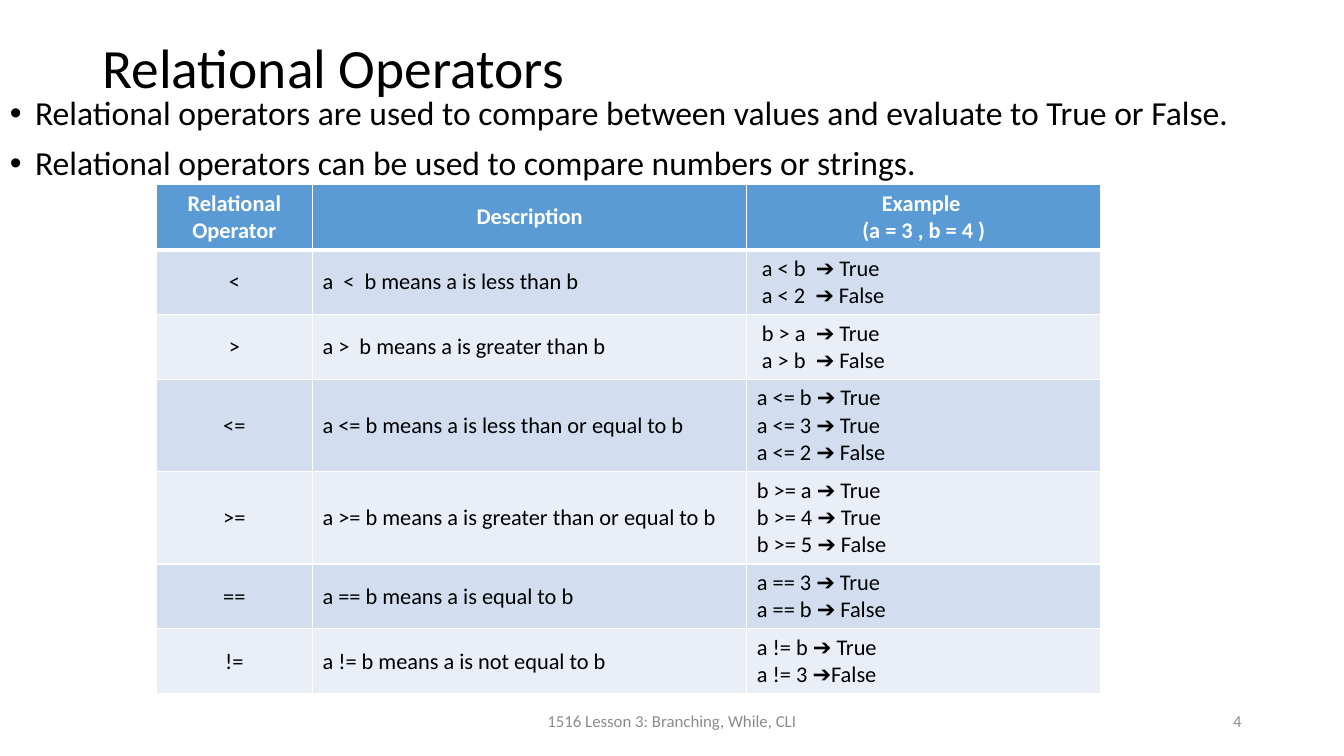
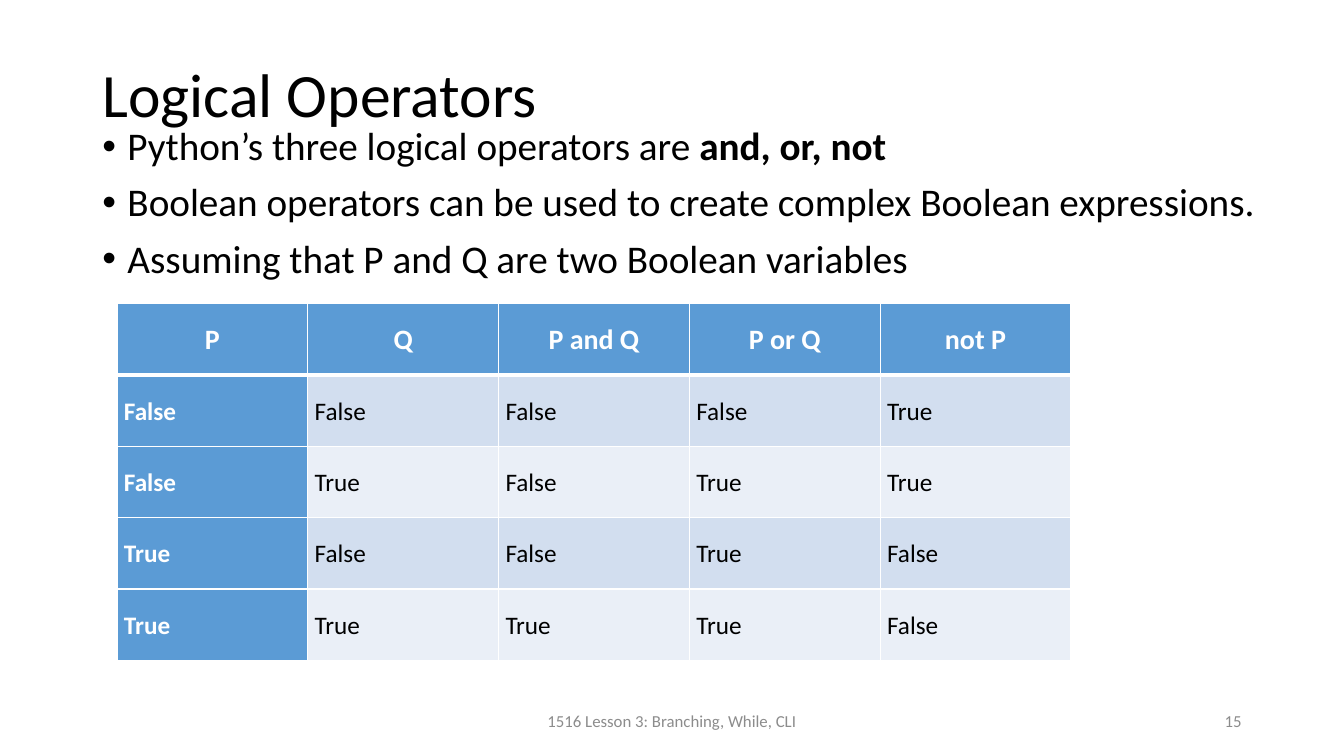
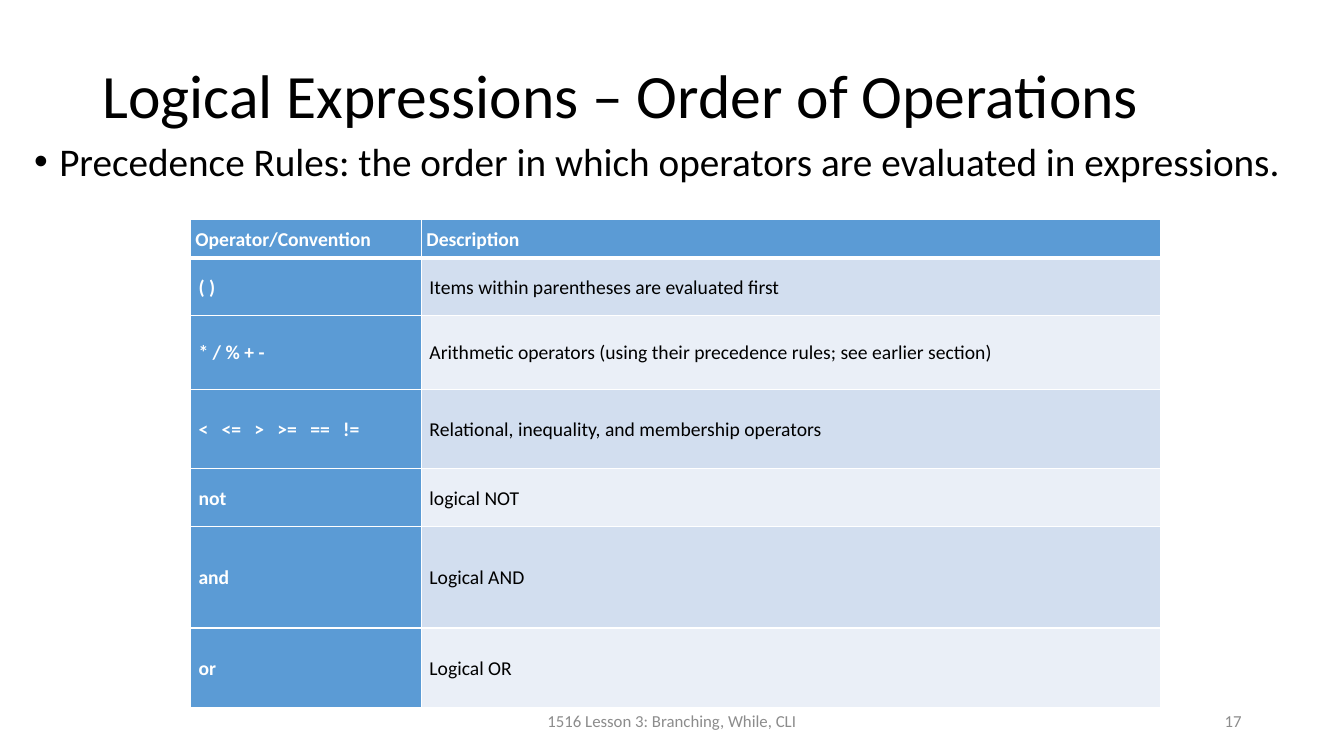
from itertools import product

from pptx import Presentation
from pptx.dml.color import RGBColor
from pptx.enum.text import MSO_ANCHOR, MSO_AUTO_SIZE, PP_ALIGN
from pptx.oxml.ns import qn
from pptx.util import Pt
from lxml.etree import SubElement

COLORS = {
    "text": "000000",
    "footer": "8C8C8C",
    "header": "5B9BD5",
    "light": "FFFFFF",
    "odd_row": "D2DEEF",
    "even_row": "EAEFF7",
}
FONT = "Calibri"
FOOTER = "1516 Lesson 3: Branching, While, CLI"
TITLE_ONLY = 5


def write(paragraph, text, size=18, color="text", bold=False, align=PP_ALIGN.LEFT,
          line_spacing=None, before=0, after=0):
    """Add a formatted run to a paragraph."""
    paragraph.alignment = align
    paragraph.line_spacing = line_spacing
    paragraph.space_before, paragraph.space_after = Pt(before), Pt(after)
    run = paragraph.add_run()
    run.text = text
    run.font.name, run.font.size, run.font.bold = FONT, Pt(size), bold
    run.font.color.rgb = RGBColor.from_string(COLORS[color])


def paragraphs_for(frame, count):
    """Return the first paragraph of a frame followed by new ones."""
    return [frame.paragraphs[0]] + [frame.add_paragraph() for _ in range(count - 1)]


def set_borders(cell, **widths):
    """Draw the cell's edges; line elements go before the fill."""
    properties = cell._tc.get_or_add_tcPr()
    for index, side in enumerate("LRTB"):
        line = SubElement(properties, qn(f"a:ln{side}"), w=str(Pt(widths.get(side, 1))))
        fill = SubElement(line, qn("a:solidFill"))
        SubElement(fill, qn("a:srgbClr"), val=COLORS["light"])
        properties.insert(index, line)


class Deck:
    def __init__(self):
        self.presentation = Presentation()
        self.presentation.slide_width = Pt(960)
        self.presentation.slide_height = Pt(540)
        self.slide = None

    def new_slide(self, title, number, title_height, title_size=44):
        layout = self.presentation.slide_layouts[TITLE_ONLY]
        self.slide = self.presentation.slides.add_slide(layout)
        shape = self.slide.shapes.title
        shape.left, shape.top = Pt(66), Pt(28.8)
        shape.width, shape.height = Pt(828), Pt(title_height)
        frame = self.prepare(shape, MSO_ANCHOR.MIDDLE)
        write(frame.paragraphs[0], title, size=title_size, line_spacing=0.9)
        # Footer and page number
        self.footer_text(FOOTER, 318, 324, PP_ALIGN.CENTER)
        self.footer_text(str(number), 678, 216, PP_ALIGN.RIGHT)

    def prepare(self, shape, anchor):
        frame = shape.text_frame
        frame.word_wrap = True
        frame.auto_size = MSO_AUTO_SIZE.NONE
        frame.vertical_anchor = anchor
        return frame

    def text_box(self, left, top, width, height, anchor=MSO_ANCHOR.TOP):
        shape = self.slide.shapes.add_textbox(Pt(left), Pt(top), Pt(width), Pt(height))
        return self.prepare(shape, anchor)

    def footer_text(self, text, left, width, align):
        frame = self.text_box(left, 500.5, width, 28.75, MSO_ANCHOR.MIDDLE)
        write(frame.paragraphs[0], text, size=12, color="footer", align=align)

    def bullets(self, left, top, width, height, items, size=28):
        """Each item is a list of texts; every second text is bold."""
        frame = self.text_box(left, top, width, height)
        for paragraph, texts in zip(paragraphs_for(frame, len(items)), items):
            for index, text in enumerate(texts):
                write(paragraph, text, size=size, bold=index % 2 == 1,
                      line_spacing=0.9, before=10)
            properties = paragraph._p.get_or_add_pPr()
            properties.set("marL", str(Pt(18)))
            properties.set("indent", str(-Pt(18)))
            SubElement(properties, qn("a:buFont"), typeface="Arial")
            SubElement(properties, qn("a:buChar"), char="•")

    def table(self, left, top, widths, heights, rows, size, header_size=None,
              header_align=PP_ALIGN.CENTER, first_align=PP_ALIGN.LEFT,
              first_column=True, insets=(7.2, 3.6), header_insets=None, **spacing):
        frame = self.slide.shapes.add_table(
            len(rows), len(widths), Pt(left), Pt(top), Pt(sum(widths)), Pt(sum(heights)))
        table = frame.table
        for column, width in zip(table.columns, widths):
            column.width = Pt(width)
        for row_index, (row, height) in enumerate(zip(rows, heights)):
            table.rows[row_index].height = Pt(height)
            header = row_index == 0
            band = "odd_row" if row_index % 2 else "even_row"
            for column_index, text in enumerate(row):
                cell = table.cell(row_index, column_index)
                accent = header or (first_column and column_index == 0)
                if header:
                    align = header_align
                else:
                    align = first_align if column_index == 0 else PP_ALIGN.LEFT
                # Cell box
                side, edge = header_insets if header and header_insets else insets
                cell.margin_left = cell.margin_right = Pt(side)
                cell.margin_top = cell.margin_bottom = Pt(edge)
                cell.vertical_anchor = MSO_ANCHOR.MIDDLE
                cell.fill.solid()
                cell.fill.fore_color.rgb = RGBColor.from_string(
                    COLORS["header" if accent else band])
                set_borders(cell, T=3 if row_index == 1 else 1, B=3 if header else 1)
                # Cell text
                lines = text.split("\n")
                for paragraph, line in zip(paragraphs_for(cell.text_frame, len(lines)), lines):
                    write(paragraph, line, size=header_size if header and header_size else size,
                          color="light" if accent else "text", bold=accent,
                          align=align, **spacing)


def relational_operators(deck):
    deck.new_slide("Relational Operators", 4, title_height=43.2, title_size=39.6)
    deck.bullets(0, 65.5, 926, 460.8, [
        ["Relational operators are used to compare between values and evaluate to True or False."],
        ["Relational operators can be used to compare numbers or strings."],
    ], size=24)
    rows = [
        ("Relational Operator", "Description", "Example \n(a = 3 , b = 4 )"),
        ("<", "a  <  b means a is less than b", " a < b  ➔ True\n a < 2  ➔ False"),
        (">", "a >  b means a is greater than b", " b > a  ➔ True\n a > b  ➔ False"),
        ("<=", "a <= b means a is less than or equal to b",
         "a <= b ➔ True\na <= 3 ➔ True\na <= 2 ➔ False"),
        (">=", "a >= b means a is greater than or equal to b",
         "b >= a ➔ True\nb >= 4 ➔ True\nb >= 5 ➔ False"),
        ("==", "a == b means a is equal to b", "a == 3 ➔ True\na == b ➔ False"),
        ("!=", "a != b means a is not equal to b", "a != b ➔ True\na != 3 ➔False"),
    ]
    heights = [7.2 + 19.5 * len(row[-1].split("\n")) for row in rows]
    deck.table(111.6, 132, [111.6, 310.3, 252.7], heights, rows, size=16,
               first_align=PP_ALIGN.CENTER, first_column=False)


def logical_operators(deck):
    deck.new_slide("Logical Operators", 15, title_height=81.4)
    deck.bullets(66, 87, 861, 443, [
        ["Python’s three logical operators are ", "and, or, not"],
        ["Boolean operators can be used to create complex Boolean expressions."],
        ["Assuming that P and Q are two Boolean variables"],
    ])
    rows = [("P", "Q", "P and Q", "P or Q", "not P")]
    for p, q in product((False, True), repeat=2):
        rows.append([str(value) for value in (p, q, p and q, p or q, not p)])
    deck.table(83.5, 216.7, [136.3] * 5, [51] * 5, rows, size=18, header_size=20,
               insets=(5, 0), line_spacing=1.07)


def order_of_operations(deck):
    deck.new_slide("Logical Expressions – Order of Operations", 17, title_height=82.8)
    deck.bullets(17.3, 98, 920, 408, [
        ["Precedence Rules: the order in which operators are evaluated in expressions."],
    ])
    rows = [
        ("Operator/Convention", "Description"),
        ("( )", "Items within parentheses are evaluated first"),
        ("* / % + -", "Arithmetic operators (using their precedence rules; see earlier section)"),
        ("<   <=   >   >=   ==   !=", "Relational, inequality, and membership operators"),
        ("not", "logical NOT"),
        ("and", "Logical AND"),
        ("or", "Logical OR"),
    ]
    deck.table(136, 157, [165, 528], [27.4, 41, 52.6, 56.9, 41, 72.7, 56.9], rows, size=14,
               header_align=PP_ALIGN.LEFT, insets=(5.8, 5.8), header_insets=(3.6, 3.6),
               line_spacing=1.07, after=8)


def main():
    deck = Deck()
    relational_operators(deck)
    logical_operators(deck)
    order_of_operations(deck)
    deck.presentation.save("out.pptx")


if __name__ == "__main__":
    main()
